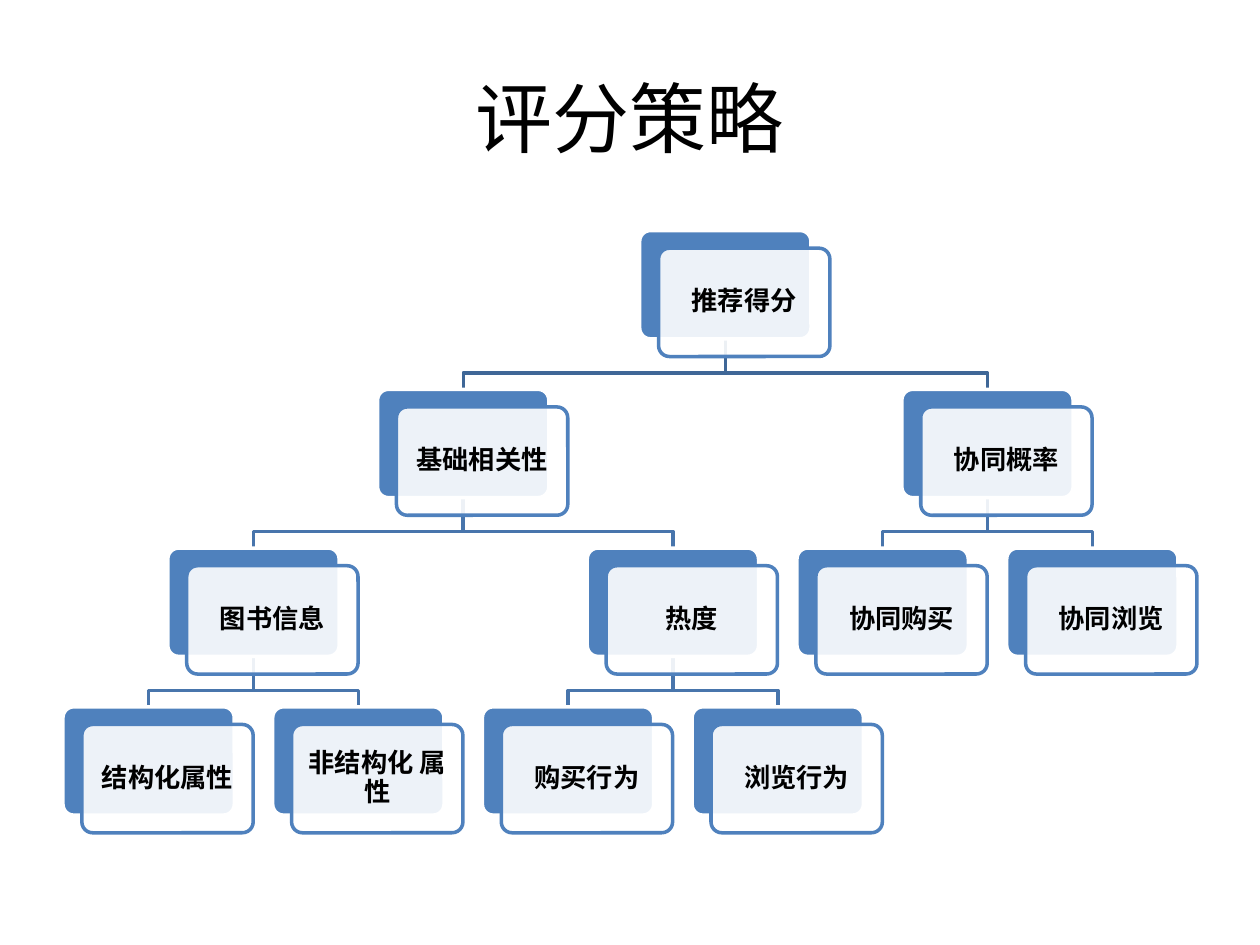
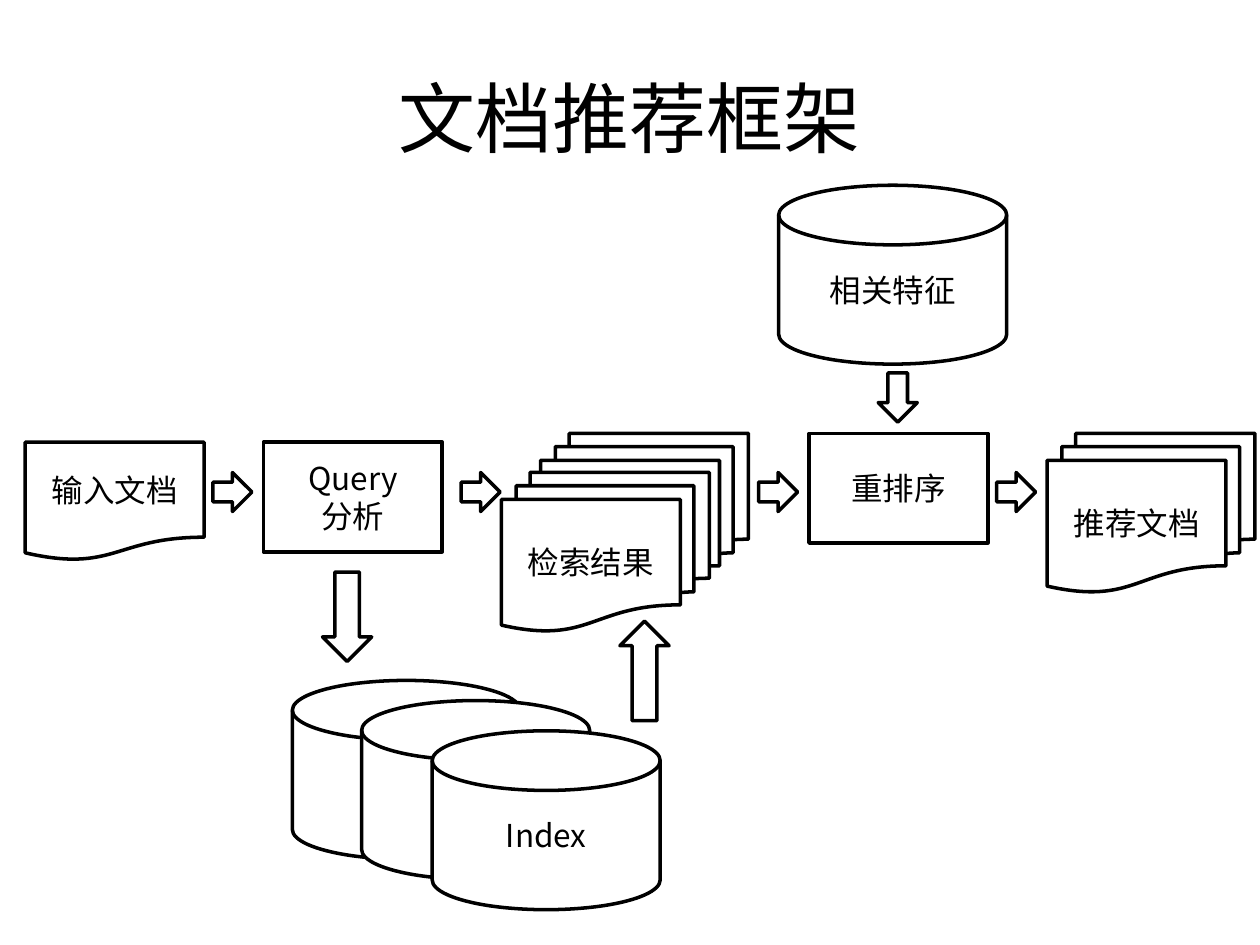
from lxml.etree import SubElement
from pptx import Presentation
from pptx.dml.color import RGBColor
from pptx.enum.shapes import MSO_SHAPE as SHAPE
from pptx.enum.text import MSO_ANCHOR as ANCHOR, PP_ALIGN as ALIGN
from pptx.oxml.ns import qn
from pptx.util import Inches, Pt

# Shared style
FONT = "Noto Sans CJK SC"
BLACK, WHITE, BLUE = "000000", "FFFFFF", "4F81BD"
ROOT_LINK, LOWER_LINK = "3F6797", "4875AC"
LINE_WIDTH = 2

# Score tree geometry
TREE_LEFT, TREE_TOP = 0.5, 1.83
TREE_RIGHT_COLUMN, TREE_RIGHT = 4.5, 7.99
COLUMN_STEP = (TREE_RIGHT - TREE_LEFT) / TREE_RIGHT_COLUMN
LEVEL_STEP = 1.26
CARD_WIDTH, CARD_HEIGHT = 1.36, 0.86
CARD_SHIFT_X, CARD_SHIFT_Y = 0.15, 0.14
LINK_BEND = 1.13

# Each node is a label with its children, or a leaf with its column
SCORE_TREE = ("推荐得分", [
    ("基础相关性", [
        ("图书信息", [("结构化属性", 0), ("非结构化 属性", 1)]),
        ("热度", [("购买行为", 2), ("浏览行为", 3)]),
    ]),
    ("协同概率", [("协同购买", 3.5), ("协同浏览", TREE_RIGHT_COLUMN)]),
])

# Framework element sizes
DISK_SIZE = (1.81, 1.42)
STACK_SIZE = (1.65, 1.26)
STEP_SIZE = (1.42, 0.87)
DOCUMENT_SIZE = (1.42, 0.94)
STEP_ARROW = (0.31, 0.31)


def color(value):
    return RGBColor.from_string(value)


def write(frame, text, points=18, bold=False, line_spacing=None, inset=None):
    """Fill a text frame with centred paragraphs, one per line."""
    frame.word_wrap = True
    frame.vertical_anchor = ANCHOR.MIDDLE
    if inset is not None:
        frame.margin_left = frame.margin_right = Inches(inset)
        frame.margin_top = frame.margin_bottom = Inches(inset)
    frame.text = text
    for para in frame.paragraphs:
        para.alignment = ALIGN.CENTER
        if line_spacing:
            para.line_spacing = line_spacing
        for span in para.runs:
            span.font.name = FONT
            span.font.size = Pt(points)
            span.font.bold = bold
            span.font.color.rgb = color(BLACK)
            SubElement(span.font._element, qn("a:ea"), typeface=FONT)


def add_titled_page(deck, title):
    page = deck.slides.add_slide(deck.slide_layouts[5])
    box = page.shapes.title
    box.left, box.top = Inches(0.5), Inches(0.3)
    box.width, box.height = Inches(9), Inches(1.25)
    write(box.text_frame, title, points=44)
    return page


def set_line(shape, line):
    shape.shadow.inherit = False
    shape.line.color.rgb = color(line)
    shape.line.width = Pt(LINE_WIDTH)


def add_block(page, kind, position, size, text="", fill=WHITE, line=BLACK,
              **text_format):
    block = page.shapes.add_shape(kind, *map(Inches, position + size))
    block.fill.solid()
    block.fill.fore_color.rgb = color(fill)
    set_line(block, line)
    if text:
        write(block.text_frame, text, **text_format)
    return block


def set_opacity(shape, percent):
    fill = shape._element.spPr.find(qn("a:solidFill"))
    SubElement(fill[0], qn("a:alpha"), val=str(percent * 1000))


# Score tree
def children_of(node):
    return node[1] if isinstance(node[1], list) else []


def column_of(node):
    children = children_of(node)
    if not children:
        return node[1]
    return sum(map(column_of, children)) / len(children)


def card_position(node, level):
    return (TREE_LEFT + column_of(node) * COLUMN_STEP,
            TREE_TOP + level * LEVEL_STEP)


def add_link(page, parent, child, level):
    """Draw the elbow from the foot of a parent to the top of a child."""
    left, top = card_position(parent, level)
    child_left, child_top = card_position(child, level + 1)
    start, end = left + CARD_WIDTH / 2, child_left + CARD_WIDTH / 2
    bend = top + LINK_BEND
    builder = page.shapes.build_freeform(Inches(start),
                                         Inches(top + CARD_HEIGHT))
    corners = [(start, bend), (end, bend), (end, child_top)]
    builder.add_line_segments([(Inches(x), Inches(y)) for x, y in corners],
                              close=False)
    link = builder.convert_to_shape()
    link.fill.background()
    set_line(link, LOWER_LINK if level else ROOT_LINK)


def add_links(page, node, level=0):
    for child in children_of(node):
        add_links(page, child, level + 1)
        add_link(page, node, child, level)


def add_cards(page, node, level=0):
    left, top = card_position(node, level)
    size = (CARD_WIDTH, CARD_HEIGHT)
    back = add_block(page, SHAPE.ROUNDED_RECTANGLE, (left, top), size,
                     fill=BLUE, line=WHITE)
    front = add_block(page, SHAPE.ROUNDED_RECTANGLE,
                      (left + CARD_SHIFT_X, top + CARD_SHIFT_Y), size,
                      node[0], line=BLUE, points=15, bold=True,
                      line_spacing=0.9, inset=0.04)
    set_opacity(front, 90)
    for card in (back, front):
        card.adjustments[0] = 0.1
    for child in children_of(node):
        add_cards(page, child, level + 1)


def add_score_page(deck):
    page = add_titled_page(deck, "评分策略")
    add_links(page, SCORE_TREE)
    add_cards(page, SCORE_TREE)


# Recommendation framework
def add_framework_page(deck):
    page = add_titled_page(deck, "文档推荐框架")

    # Data stores
    for position, label in [((2.32, 5.4), ""), ((2.87, 5.56), ""),
                            ((3.43, 5.8), "Index"), ((6.18, 1.47), "相关特征")]:
        add_block(page, SHAPE.FLOWCHART_MAGNETIC_DISK, position, DISK_SIZE,
                  label)

    # Documents
    add_block(page, SHAPE.FLOWCHART_DOCUMENT, (0.2, 3.51), DOCUMENT_SIZE,
              "输入文档")
    for position, label in [((4.29, 3.44), ""), ((3.98, 3.75), "检索结果"),
                            ((8.31, 3.44), "推荐文档")]:
        add_block(page, SHAPE.FLOWCHART_MULTIDOCUMENT, position, STACK_SIZE,
                  label)

    # Processing steps
    for position, label in [((2.09, 3.51), "Query\n分析"),
                            ((6.42, 3.44), "重排序")]:
        add_block(page, SHAPE.RECTANGLE, position, STEP_SIZE, label)

    # Arrows along the row, then to and from the data stores
    for left in (1.69, 3.66, 6.02, 7.91):
        add_block(page, SHAPE.RIGHT_ARROW, (left, 3.75), STEP_ARROW)
    add_block(page, SHAPE.DOWN_ARROW, (2.56, 4.54), (0.39, 0.71))
    add_block(page, SHAPE.UP_ARROW, (4.92, 4.93), (0.39, 0.79))
    add_block(page, SHAPE.DOWN_ARROW, (6.97, 2.96), (0.31, 0.39))


def main():
    deck = Presentation()
    deck.slide_width, deck.slide_height = Inches(10), Inches(7.5)
    add_score_page(deck)
    add_framework_page(deck)
    deck.save("out.pptx")


if __name__ == "__main__":
    main()
